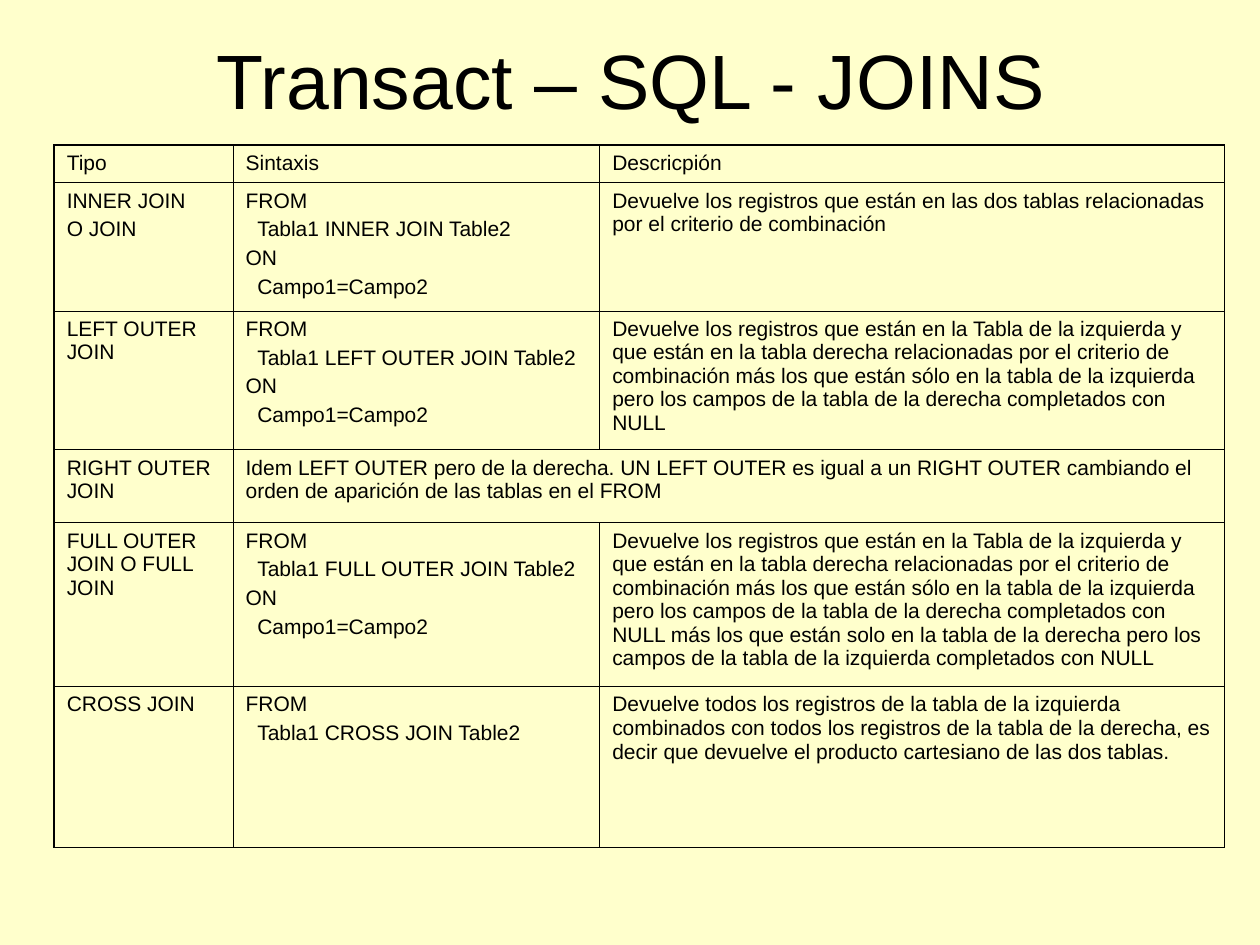
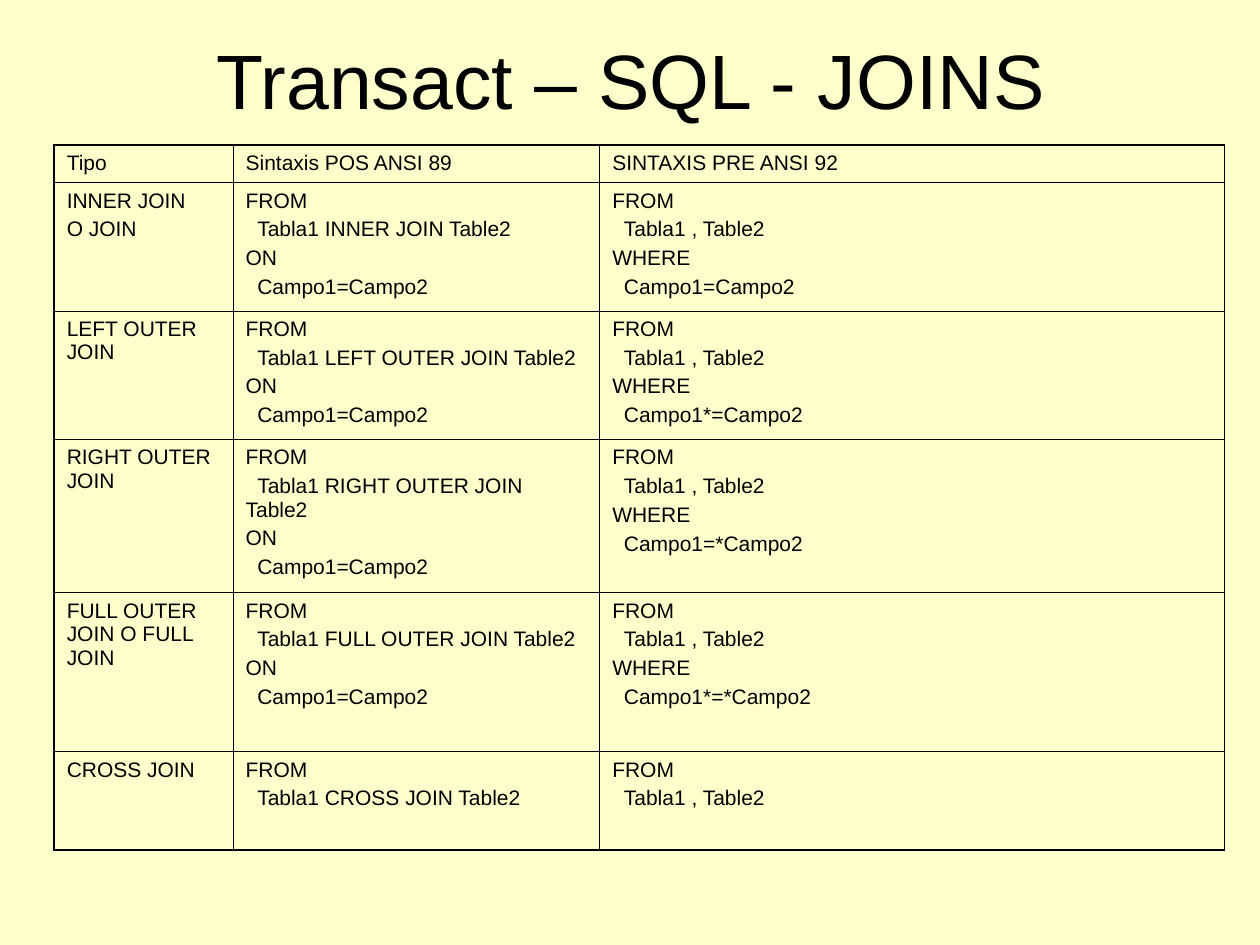
"""Build two slides that compare the kinds of SQL joins."""
import pptx
import pptx.dml.color
import pptx.enum.text
import pptx.oxml
import pptx.oxml.ns
import pptx.util

Pt = pptx.util.Pt
TITLE = "Transact – SQL - JOINS"
JOIN_NAMES = [["INNER JOIN", "O JOIN"], ["LEFT OUTER JOIN"], ["RIGHT OUTER JOIN"],
              ["FULL OUTER JOIN O FULL JOIN"], ["CROSS JOIN"]]
KINDS = ["INNER", "LEFT OUTER", "RIGHT OUTER", "FULL OUTER", "CROSS"]
LEFT_TEXT = ("Devuelve los registros que están en la Tabla de la izquierda y que están en la "
             "tabla derecha relacionadas por el criterio de combinación más los que están sólo "
             "en la tabla de la izquierda pero los campos de la tabla de la derecha completados "
             "con NULL")
RIGHT_TEXT = ("Idem LEFT OUTER pero de la derecha. UN LEFT OUTER es igual a un RIGHT OUTER "
              "cambiando el orden de aparición de las tablas en el FROM")
DESCRIPTIONS = [
    "Devuelve los registros que están en las dos tablas relacionadas por el criterio de "
    "combinación",
    LEFT_TEXT,
    None,
    LEFT_TEXT + " más los que están solo en la tabla de la derecha pero los campos de la tabla "
    "de la izquierda completados con NULL",
    "Devuelve todos los registros de la tabla de la izquierda combinados con todos los registros "
    "de la tabla de la derecha, es decir que devuelve el producto cartesiano de las dos tablas.",
]
OPERATORS = ["=", "*=", "=*", "*=*", None]


def color(value):
    return pptx.dml.color.RGBColor.from_string(value)


def ansi_join(kind):
    lines = ["FROM", f"Tabla1 {kind} JOIN Table2"]
    return lines if kind == "CROSS" else lines + ["ON", "Campo1=Campo2"]


def where_join(operator):
    lines = ["FROM", "Tabla1 , Table2"]
    return lines + ["WHERE", f"Campo1{operator}Campo2"] if operator else lines


class Deck:
    font = "Arial"
    ink = "000000"
    paper = "FFFFCC"
    col_widths = [102.24, 209.52, 357.12]
    outer, inner = 1.08, 0.45
    code_indent = 6.67

    def __init__(self):
        self.prs = pptx.Presentation()
        self.prs.slide_width, self.prs.slide_height = Pt(720), Pt(540)
        fill = self.prs.slide_master.background.fill
        fill.solid()
        fill.fore_color.rgb = color(self.paper)

    def run(self, p, text, size):
        r = p.add_run()
        r.text = text
        r.font.name, r.font.size = self.font, Pt(size)
        r.font.color.rgb = color(self.ink)

    def slide(self, title):
        self.s = self.prs.slides.add_slide(self.prs.slide_layouts[5])
        sp = self.s.shapes.title
        sp.left, sp.top, sp.width, sp.height = Pt(36.72), Pt(0), Pt(648), Pt(90)
        tf = sp.text_frame
        tf.vertical_anchor = pptx.enum.text.MSO_ANCHOR.MIDDLE
        p = tf.paragraphs[0]
        p.alignment = pptx.enum.text.PP_ALIGN.CENTER
        self.run(p, title, 44)

    def borders(self, cell, edges):
        tc_pr = cell._tc.get_or_add_tcPr()
        for i, (side, is_outer) in enumerate(edges.items()):
            width = Pt(self.outer if is_outer else self.inner)
            tc_pr.insert(i, pptx.oxml.parse_xml(
                f'<a:{side} {pptx.oxml.ns.nsdecls("a")} w="{width}"><a:solidFill>'
                f'<a:srgbClr val="{self.ink}"/></a:solidFill></a:{side}>'))

    def cell_text(self, cell, lines, is_code):
        tf = cell.text_frame
        for i, line in enumerate(lines):
            p = tf.add_paragraph() if i else tf.paragraphs[0]
            p.space_before = Pt(3)
            if is_code and i % 2:
                p._p.get_or_add_pPr().set("indent", str(Pt(self.code_indent)))
            self.run(p, line, 12)

    def table(self, rows, heights):
        n_rows, n_cols = len(rows), len(self.col_widths)
        table = self.s.shapes.add_table(
            n_rows, n_cols, Pt(30.96), Pt(82.8),
            Pt(sum(self.col_widths)), Pt(sum(heights))).table
        table.first_row = table.horz_banding = False
        for column, width in zip(table.columns, self.col_widths):
            column.width = Pt(width)
        for y, (row, height) in enumerate(zip(rows, heights)):
            table.rows[y].height = Pt(height)
            if len(row) < n_cols:
                table.cell(y, len(row) - 1).merge(table.cell(y, n_cols - 1))
            for x in range(n_cols):
                cell = table.cell(y, x)
                cell.fill.background()
                cell.margin_left = cell.margin_right = Pt(7.2)
                cell.margin_top = cell.margin_bottom = Pt(3.6)
                is_last = x == n_cols - 1 or x == len(row) - 1
                self.borders(cell, {"lnL": x == 0, "lnR": is_last,
                                    "lnT": y == 0, "lnB": y == n_rows - 1})
                if x < len(row):
                    self.cell_text(cell, row[x], x > 0)


def main():
    deck = Deck()

    deck.slide(TITLE)
    rows = [[["Tipo"], ["Sintaxis"], ["Descricpión"]]]
    for name, kind, description in zip(JOIN_NAMES, KINDS, DESCRIPTIONS):
        rows.append([name, ansi_join(kind), [description]] if description
                    else [name, [RIGHT_TEXT]])
    deck.table(rows, [21.6, 73.3, 79.3, 41.7, 93.7, 92])

    deck.slide(TITLE)
    rows = [[["Tipo"], ["Sintaxis POS ANSI 89"], ["SINTAXIS PRE ANSI 92"]]]
    for name, kind, operator in zip(JOIN_NAMES, KINDS, OPERATORS):
        rows.append([name, ansi_join(kind), where_join(operator)])
    deck.table(rows, [21.6, 73.3, 73.5, 87.6, 90.8, 56.2])

    deck.prs.save("out.pptx")


if __name__ == "__main__":
    main()
